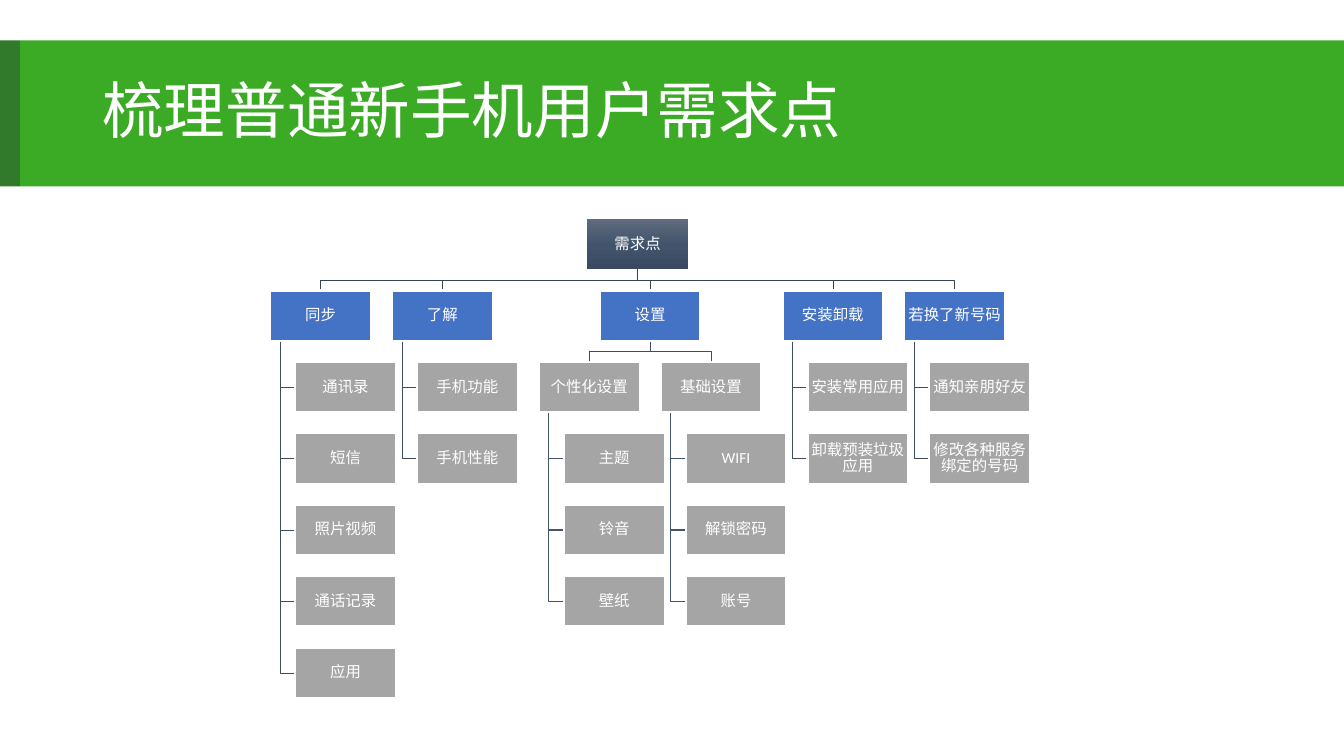
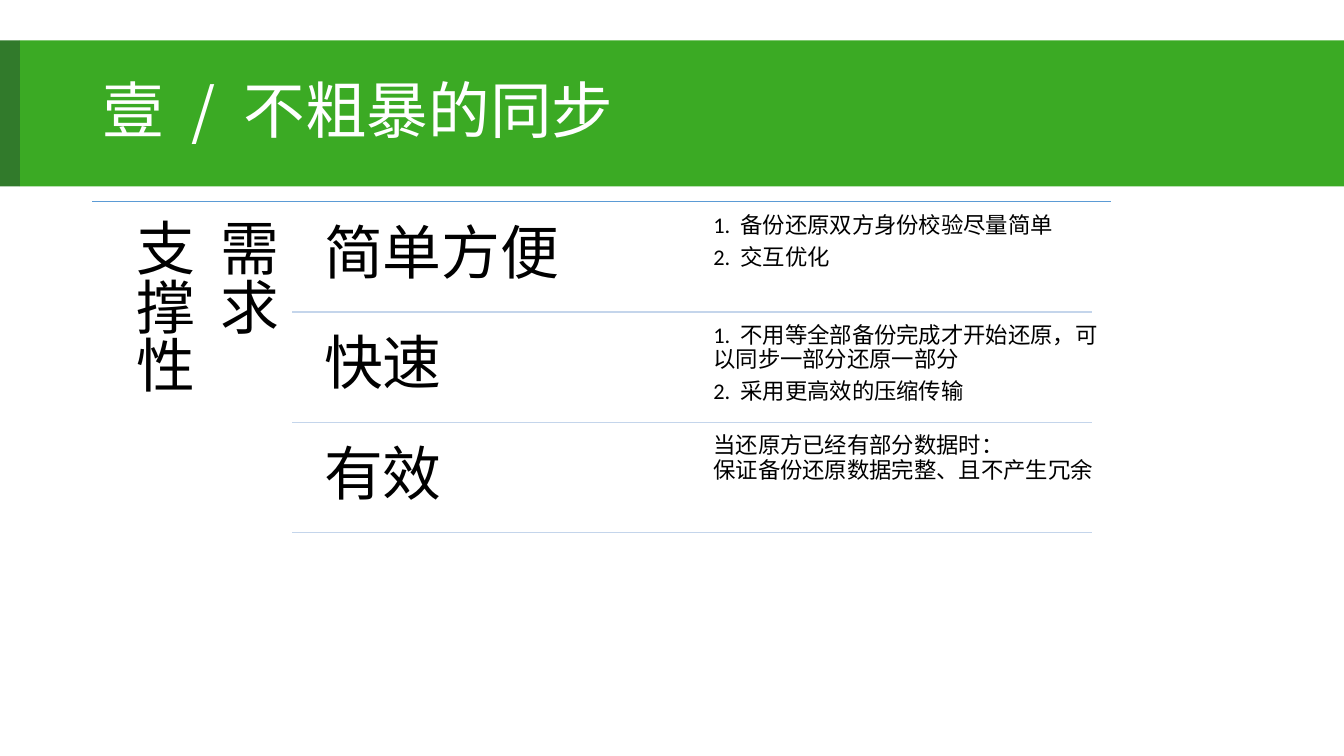
from copy import deepcopy
from dataclasses import dataclass

from lxml.etree import SubElement
from pptx import Presentation
from pptx.dml.color import RGBColor
from pptx.enum.shapes import MSO_CONNECTOR as LINK, MSO_SHAPE as SHAPE
from pptx.enum.text import MSO_ANCHOR as ANCHOR, PP_ALIGN as ALIGN
from pptx.oxml.ns import qn
from pptx.util import Cm, Pt


@dataclass(frozen=True)
class Theme:
    """Colours, fonts and type sizes of the deck."""
    band: str = "3BAA24"
    band_edge: str = "317A2B"
    light: str = "FFFFFF"
    dark: str = "000000"
    root: tuple = ("606B7D", "42546C", "394A62")
    branch: str = "4472C4"
    leaf: str = "A5A5A5"
    wires: tuple = (("364355", 0.5), ("3E4C60", 0.5), ("44546A", 0.75))
    top_rule: str = "5B9BD5"
    row_rule: str = "C4D5EB"
    latin: str = "Calibri"
    asian: str = "Noto Sans CJK SC"
    title_size: int = 44
    heading_size: int = 42
    body_size: int = 16
    node_size: int = 11


@dataclass(frozen=True)
class Box:
    """A rectangle in centimetres."""
    left: float
    top: float
    width: float
    height: float

    @property
    def right(self):
        return self.left + self.width

    @property
    def bottom(self):
        return self.top + self.height

    @property
    def middle(self):
        return self.left + self.width / 2

    def lengths(self):
        return [Cm(n) for n in (self.left, self.top, self.width, self.height)]


@dataclass(frozen=True)
class Node:
    """A tree entry with its sub-entries."""
    label: str
    children: tuple = ()


@dataclass(frozen=True)
class Spot:
    """A placed tree entry and the entry it hangs from."""
    node: Node
    box: Box
    level: int
    parent: Box = None
    hanging: bool = False


THEME = Theme()
PAGE = Box(0, 0, 33.87, 19.05)
BAND = Box(0, 1.02, PAGE.width, 3.68)


def rgb(value):
    """Turn a hex string into a colour."""
    return RGBColor.from_string(value)


def add_span(para, text, size, color, font, tracking=0):
    """Add one run, with its letter spacing in points."""
    span = para.add_run()
    span.text = text
    span.font.size = Pt(size)
    span.font.color.rgb = rgb(color)
    span.font.name = font
    props = span.font._element
    SubElement(props, qn("a:ea")).set("typeface", THEME.asian)
    if tracking:
        props.set("spc", str(round(tracking * 100)))
    return span


def write(frame, paras, size, color, font=THEME.latin, inset=0.0,
          anchor=ANCHOR.TOP, align=ALIGN.LEFT):
    """Fill a text frame; each paragraph is a list of (text, tracking) spans."""
    frame.word_wrap = True
    frame.vertical_anchor = anchor
    frame.margin_left = frame.margin_right = Cm(inset)
    frame.margin_top = frame.margin_bottom = Cm(inset)
    for index, spans in enumerate(paras):
        para = frame.add_paragraph() if index else frame.paragraphs[0]
        para.alignment = align
        para.line_spacing = 0.9
        para.space_after = Pt(0.35 * size)
        for text, tracking in spans:
            for number, line in enumerate(text.split("\n")):
                if number:
                    para.add_line_break()
                    para._p[-1].append(deepcopy(span.font._element))
                span = add_span(para, line, size, color, font, tracking)


def add_text(page, box, paras, size, color, **style):
    """Add a text box and return its frame."""
    frame = page.shapes.add_textbox(*box.lengths()).text_frame
    write(frame, paras, size, color, **style)
    return frame


def add_block(page, box, fill):
    """Add a plain filled rectangle without outline."""
    block = page.shapes.add_shape(SHAPE.RECTANGLE, *box.lengths())
    block.shadow.inherit = False
    block.fill.solid()
    block.fill.fore_color.rgb = rgb(fill)
    block.line.fill.background()
    return block


def add_rule(page, left, right, height, color):
    """Add a horizontal hairline."""
    rule = page.shapes.add_connector(
        LINK.STRAIGHT, Cm(left), Cm(height), Cm(right), Cm(height))
    rule.line.color.rgb = rgb(color)
    rule.line.width = Pt(1)
    SubElement(rule._element.spPr, qn("a:effectLst"))


def add_title_page(deck, spans):
    """Add a page with the title band and return it."""
    page = deck.slides.add_slide(deck.slide_layouts[6])
    edge = 0.5
    add_block(page, Box(edge, BAND.top, BAND.width - edge, BAND.height), THEME.band)
    add_block(page, Box(0, BAND.top, edge, BAND.height), THEME.band_edge)
    add_text(page, Box(2.33, BAND.top, 29.2, BAND.height), [spans],
             THEME.title_size, THEME.light, font=THEME.asian, inset=0.25,
             anchor=ANCHOR.MIDDLE)
    return page


def plan_tree(root, area):
    """Place a tree: parents of parents spread out, other children hang below."""
    width, height, indent = 2.54, 1.27, 0.63
    column, row = 3.07, 1.8
    spots = []
    cursor = area.left

    def box_at(left, level):
        return Box(left, area.top + level * row, width, height)

    def place(node, level):
        nonlocal cursor
        spreads = any(child.children for child in node.children)
        if spreads:
            cursor += indent if level else 0
            below = [place(child, level + 1) for child in node.children]
            left = (below[0].left + below[-1].left) / 2
        else:
            left = cursor
            cursor += column
            below = [box_at(left + indent, level + step)
                     for step, _ in enumerate(node.children, 1)]
        box = box_at(left, level)
        for child, spot in zip(node.children, below):
            if spreads:
                spots.append(Spot(child, spot, level + 1, box))
            else:
                spots.append(Spot(child, spot, level + 1, box, True))
        return box

    spots.append(Spot(root, place(root, 0), 0))
    return spots


def add_wire(page, spot):
    """Draw the bent line from a parent box to its child."""
    parent, box = spot.parent, spot.box
    if spot.hanging:
        stem, middle = parent.left + 0.25, box.top + box.height / 2
        points = [(stem, parent.bottom), (stem, middle), (box.left, middle)]
    else:
        bend = (parent.bottom + box.top) / 2
        points = [(parent.middle, parent.bottom), (parent.middle, bend),
                  (box.middle, bend), (box.middle, box.top)]
    start, *rest = [(Cm(x), Cm(y)) for x, y in points]
    builder = page.shapes.build_freeform(*start)
    builder.add_line_segments(rest, close=False)
    wire = builder.convert_to_shape()
    wire.shadow.inherit = False
    wire.fill.background()
    color, weight = THEME.wires[spot.level - 1]
    wire.line.color.rgb = rgb(color)
    wire.line.width = Pt(weight)


def shade(block, colors):
    """Give a block an even top-to-bottom gradient."""
    block.fill.gradient()
    block.fill.gradient_angle = 270
    stops = block._element.spPr.find(".//" + qn("a:gsLst"))
    for _ in colors[2:]:
        stops.insert(1, deepcopy(stops[0]))
    for index, (stop, color) in enumerate(zip(block.fill.gradient_stops, colors)):
        stop.color.rgb = rgb(color)
        stop.position = index / (len(colors) - 1)


def add_tree(page, root, area):
    """Draw a tree, its wires behind its boxes."""
    spots = plan_tree(root, area)
    for spot in spots:
        if spot.parent:
            add_wire(page, spot)
    for spot in spots:
        block = add_block(page, spot.box, THEME.branch if spot.level == 1 else THEME.leaf)
        if spot.level:
            block.line.color.rgb = rgb(THEME.light)
            block.line.width = Pt(1.5)
        else:
            shade(block, THEME.root)
        write(block.text_frame, [[(spot.node.label, 0)]], THEME.node_size, THEME.light,
              inset=0.02, anchor=ANCHOR.MIDDLE, align=ALIGN.CENTER)


def add_topics(page, area, heading, rows):
    """Draw a vertical heading beside ruled rows of topic and details."""
    side, pitch, pad = 5.03, 2.78, 0.13
    add_rule(page, area.left, area.right, area.top, THEME.top_rule)
    frame = add_text(page, Box(area.left, area.top, side, area.height),
                     [[(text, 0)] for text in heading],
                     THEME.heading_size, THEME.dark, inset=0.43)
    frame._txBody.bodyPr.set("vert", "eaVert")
    for index, (topic, details) in enumerate(rows):
        top = area.top + index * pitch
        add_text(page, Box(area.left + 5.41, top + pad, 9.7, 2.67), [[(topic, 0)]],
                 THEME.heading_size, THEME.dark, inset=0.43)
        add_text(page, Box(area.left + 15.47, top + pad, 10.2, 2.67), details,
                 THEME.body_size, THEME.dark, inset=0.18)
        add_rule(page, area.left + side, area.right - 0.5, top + pitch, THEME.row_rule)


def branch(label, *children):
    """Make a node from labels or nodes."""
    return Node(label, tuple(
        child if isinstance(child, Node) else Node(child) for child in children))


def numbered(*items):
    """Make numbered paragraphs with a widened gap after the number."""
    return [[(f"{number}.", 0), (" ", 3.6), (item, 0)]
            for number, item in enumerate(items, 1)]


NEEDS = branch(
    "需求点",
    branch("同步", "通讯录", "短信", "照片视频", "通话记录", "应用"),
    branch("了解", "手机功能", "手机性能"),
    branch("设置",
           branch("个性化设置", "主题", "铃音", "壁纸"),
           branch("基础设置", "WIFI", "解锁密码", "账号")),
    branch("安装卸载", "安装常用应用", "卸载预装垃圾应用"),
    branch("若换了新号码", "通知亲朋好友", "修改各种服务绑定的号码"))

TOPICS = [
    ("简单方便", numbered("备份还原双方身份校验尽量简单", "交互优化")),
    ("快速", numbered("不用等全部备份完成才开始还原，可以同步一部分还原一部分",
                    "采用更高效的压缩传输")),
    ("有效", [[("当还原方已经有部分数据时：\n保证备份还原数据完整、且不产生冗余", 0)]])]

deck = Presentation()
deck.slide_width, deck.slide_height = Cm(PAGE.width), Cm(PAGE.height)
add_tree(add_title_page(deck, [("梳理普通新手机用户需求点", 0)]), NEEDS,
         Box(6.81, 5.52, 19.2, 12.1))
add_topics(add_title_page(deck, [("壹", 0), (" /", 10), (" 不粗暴的同步", 0)]),
           Box(2.33, 5.08, 25.68, 8.48), ["需求", "支撑性"], TOPICS)
deck.save("out.pptx")
